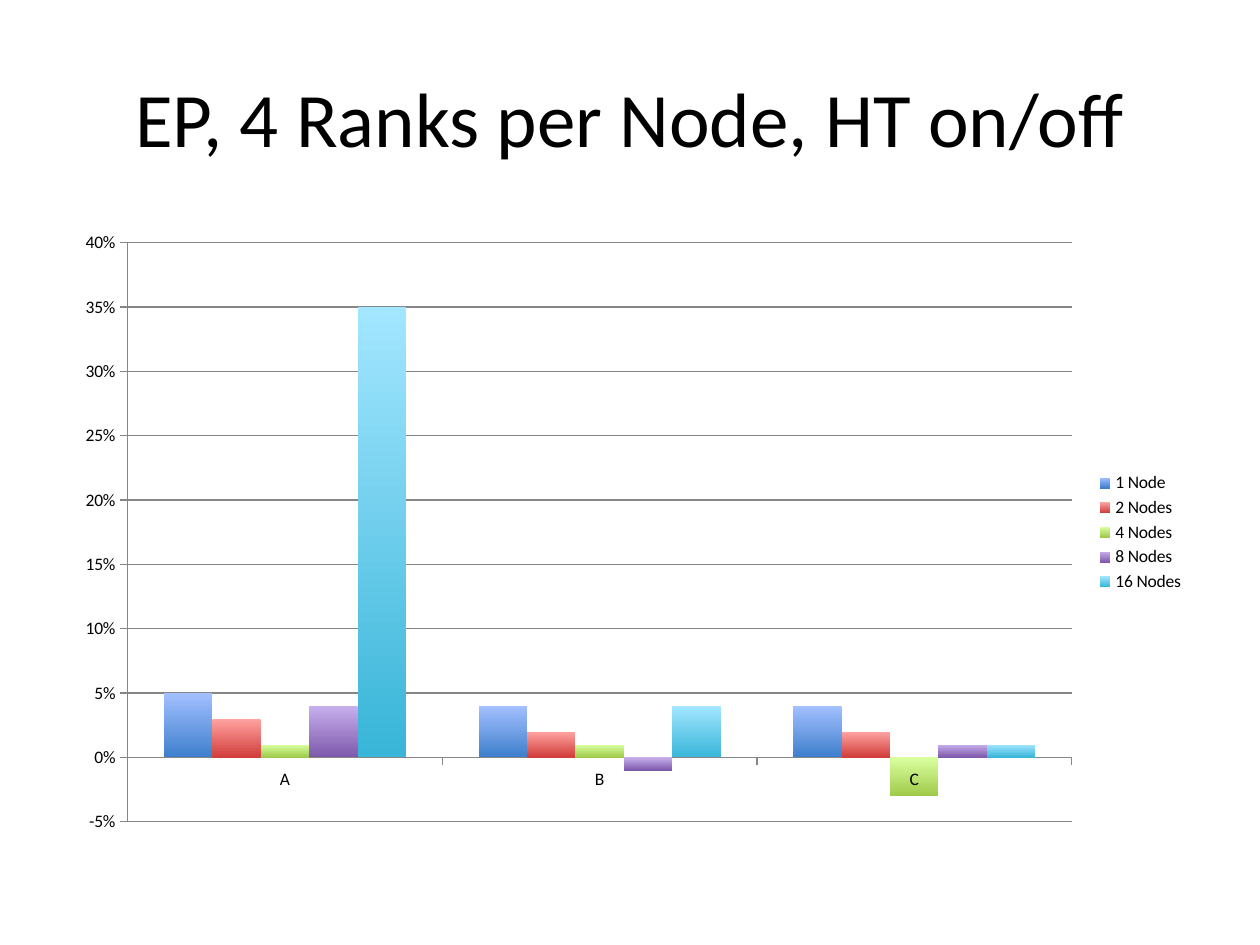
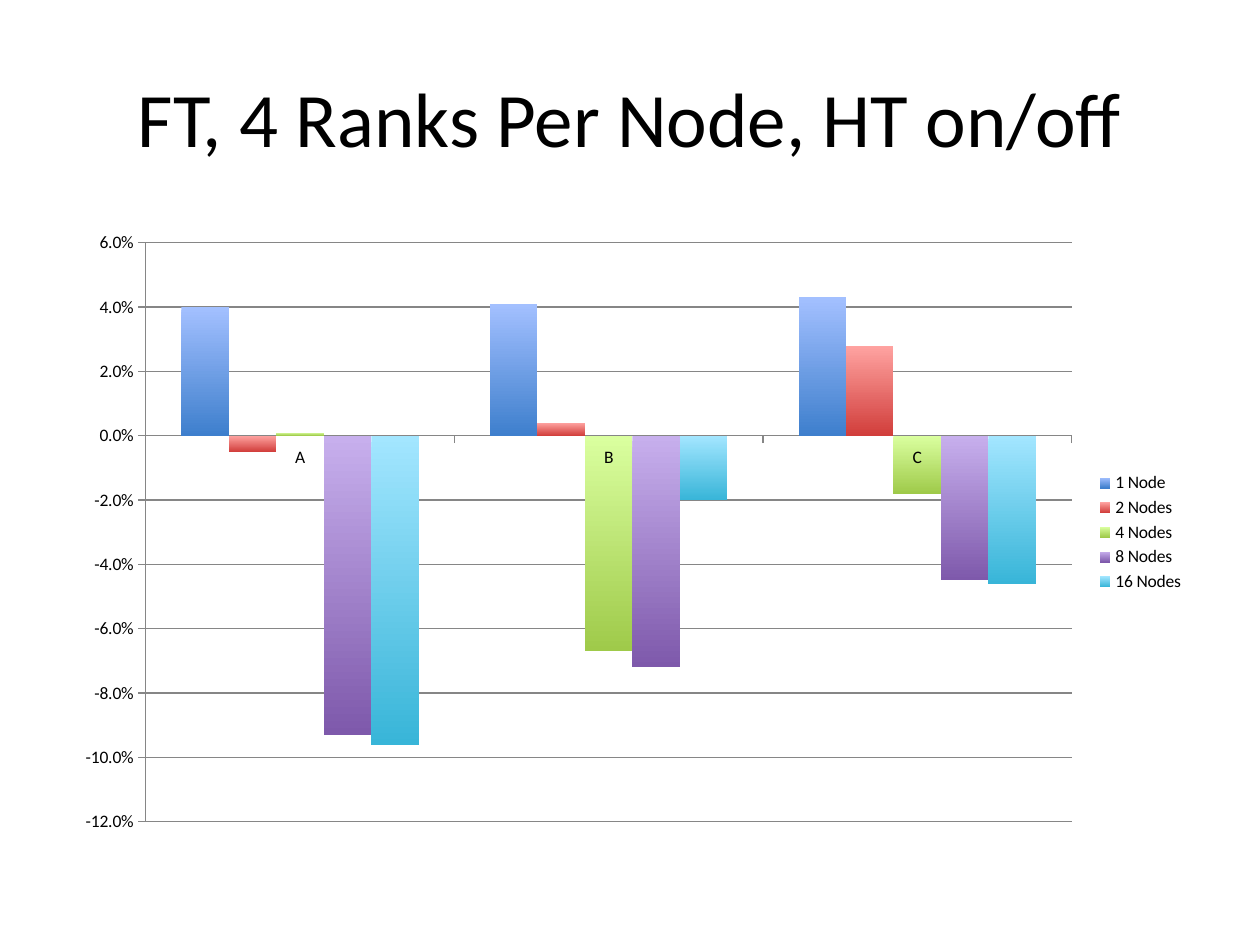
"""Build two slides comparing hyper-threading gains per node count."""
import dataclasses

import pptx
import pptx.chart.axis
import pptx.chart.data
import pptx.dml.color
import pptx.enum.chart
import pptx.enum.text
import pptx.presentation
import pptx.slide
import pptx.util

RGBColor = pptx.dml.color.RGBColor

BLACK = RGBColor(0x00, 0x00, 0x00)
AXIS_GREY = RGBColor(0x86, 0x86, 0x86)
FONT = "Calibri"

SLIDE_WIDTH = pptx.util.Inches(10)
SLIDE_HEIGHT = pptx.util.Inches(7.5)
COLUMNS, ROWS = 20, 150

CATEGORIES = ("A", "B", "C")


@dataclasses.dataclass(frozen=True)
class Box:
    """A rectangle counted in grid columns and rows."""
    column: int
    row: int
    columns: int
    rows: int

    def lengths(self) -> tuple[int, int, int, int]:
        """Return left, top, width and height in slide units."""
        column_width = SLIDE_WIDTH // COLUMNS
        row_height = SLIDE_HEIGHT // ROWS
        return (self.column * column_width, self.row * row_height,
                self.columns * column_width, self.rows * row_height)


@dataclasses.dataclass(frozen=True)
class SeriesStyle:
    """Legend name and vertical gradient of one node count."""
    name: str
    top: RGBColor
    bottom: RGBColor


@dataclasses.dataclass(frozen=True)
class ChartSlide:
    """Title, value axis and values (one row per series) of one slide."""
    title: str
    number_format: str
    minimum: float
    maximum: float
    step: float
    values: tuple[tuple[float, ...], ...]


TITLE_BOX = Box(1, 6, 18, 25)
CHART_BOX = Box(1, 35, 18, 99)

SERIES_STYLES = (
    SeriesStyle("1 Node", RGBColor(0xA3, 0xC0, 0xFF), RGBColor(0x3E, 0x7F, 0xCD)),
    SeriesStyle("2 Nodes", RGBColor(0xFF, 0xA3, 0xA1), RGBColor(0xD1, 0x3E, 0x3B)),
    SeriesStyle("4 Nodes", RGBColor(0xDA, 0xFF, 0x9F), RGBColor(0x9F, 0xCA, 0x4A)),
    SeriesStyle("8 Nodes", RGBColor(0xC7, 0xAF, 0xED), RGBColor(0x7E, 0x59, 0xAB)),
    SeriesStyle("16 Nodes", RGBColor(0xA3, 0xE6, 0xFF), RGBColor(0x38, 0xB5, 0xD8)),
)

CHART_SLIDES = (
    ChartSlide("EP, 4 Ranks per Node, HT on/off", "0%", -0.05, 0.4, 0.05, (
        (0.05, 0.04, 0.04),
        (0.03, 0.02, 0.02),
        (0.01, 0.01, -0.03),
        (0.04, -0.01, 0.01),
        (0.35, 0.04, 0.01),
    )),
    ChartSlide("FT, 4 Ranks Per Node, HT on/off", "0.0%", -0.12, 0.06, 0.02, (
        (0.04, 0.041, 0.043),
        (-0.005, 0.004, 0.028),
        (0.001, -0.067, -0.018),
        (-0.093, -0.072, -0.045),
        (-0.096, -0.02, -0.046),
    )),
)


def add_title(slide: pptx.slide.Slide, title: str) -> None:
    """Add the centred slide title."""
    text_frame = slide.shapes.add_textbox(*TITLE_BOX.lengths()).text_frame
    text_frame.word_wrap = True
    text_frame.vertical_anchor = pptx.enum.text.MSO_ANCHOR.MIDDLE
    text_frame.text = title
    paragraph = text_frame.paragraphs[0]
    paragraph.alignment = pptx.enum.text.PP_ALIGN.CENTER
    font = paragraph.runs[0].font
    font.name, font.size = FONT, pptx.util.Pt(44)
    font.color.rgb = BLACK


def style_line(line: pptx.dml.line.LineFormat) -> None:
    """Give an axis or gridline its thin grey stroke."""
    line.color.rgb = AXIS_GREY
    line.width = pptx.util.Pt(0.75)


def style_axes(chart: pptx.chart.chart.Chart, content: ChartSlide) -> None:
    """Set scale, ticks and lines of both axes."""
    for axis in (chart.category_axis, chart.value_axis):
        axis.major_tick_mark = pptx.enum.chart.XL_TICK_MARK.OUTSIDE
        axis.minor_tick_mark = pptx.enum.chart.XL_TICK_MARK.NONE
        axis.tick_label_position = pptx.enum.chart.XL_TICK_LABEL_POSITION.NEXT_TO_AXIS
        style_line(axis.format.line)
    value_axis = chart.value_axis
    value_axis.minimum_scale = content.minimum
    value_axis.maximum_scale = content.maximum
    value_axis.major_unit = content.step
    value_axis.tick_labels.number_format = content.number_format
    value_axis.tick_labels.number_format_is_linked = False
    value_axis.has_major_gridlines = True
    style_line(value_axis.major_gridlines.format.line)


def style_series(chart: pptx.chart.chart.Chart) -> None:
    """Fill each series with its gradient, light at the top."""
    plot = chart.plots[0]
    plot.vary_by_categories = False
    plot.gap_width = 150
    for series, style in zip(plot.series, SERIES_STYLES):
        series.invert_if_negative = False
        fill = series.format.fill
        fill.gradient()
        fill.gradient_angle = 270
        for stop, colour in zip(fill.gradient_stops, (style.top, style.bottom)):
            stop.color.rgb = colour
        series.format.line.fill.background()


def add_chart(slide: pptx.slide.Slide, content: ChartSlide) -> None:
    """Add the clustered column chart with its legend."""
    chart_data = pptx.chart.data.CategoryChartData(content.number_format)
    chart_data.categories = CATEGORIES
    for style, values in zip(SERIES_STYLES, content.values):
        chart_data.add_series(style.name, values)
    chart = slide.shapes.add_chart(
        pptx.enum.chart.XL_CHART_TYPE.COLUMN_CLUSTERED,
        *CHART_BOX.lengths(), chart_data).chart
    chart.has_title = False
    chart.font.name, chart.font.size = FONT, pptx.util.Pt(10)
    chart.font.color.rgb = BLACK
    chart.has_legend = True
    chart.legend.position = pptx.enum.chart.XL_LEGEND_POSITION.RIGHT
    chart.legend.include_in_layout = False
    style_axes(chart, content)
    style_series(chart)


def build() -> pptx.presentation.Presentation:
    """Create the presentation with one slide per chart."""
    presentation = pptx.Presentation()
    presentation.slide_width = SLIDE_WIDTH
    presentation.slide_height = SLIDE_HEIGHT
    blank_layout = presentation.slide_layouts[6]
    for content in CHART_SLIDES:
        slide = presentation.slides.add_slide(blank_layout)
        add_title(slide, content.title)
        add_chart(slide, content)
    return presentation


build().save("out.pptx")
